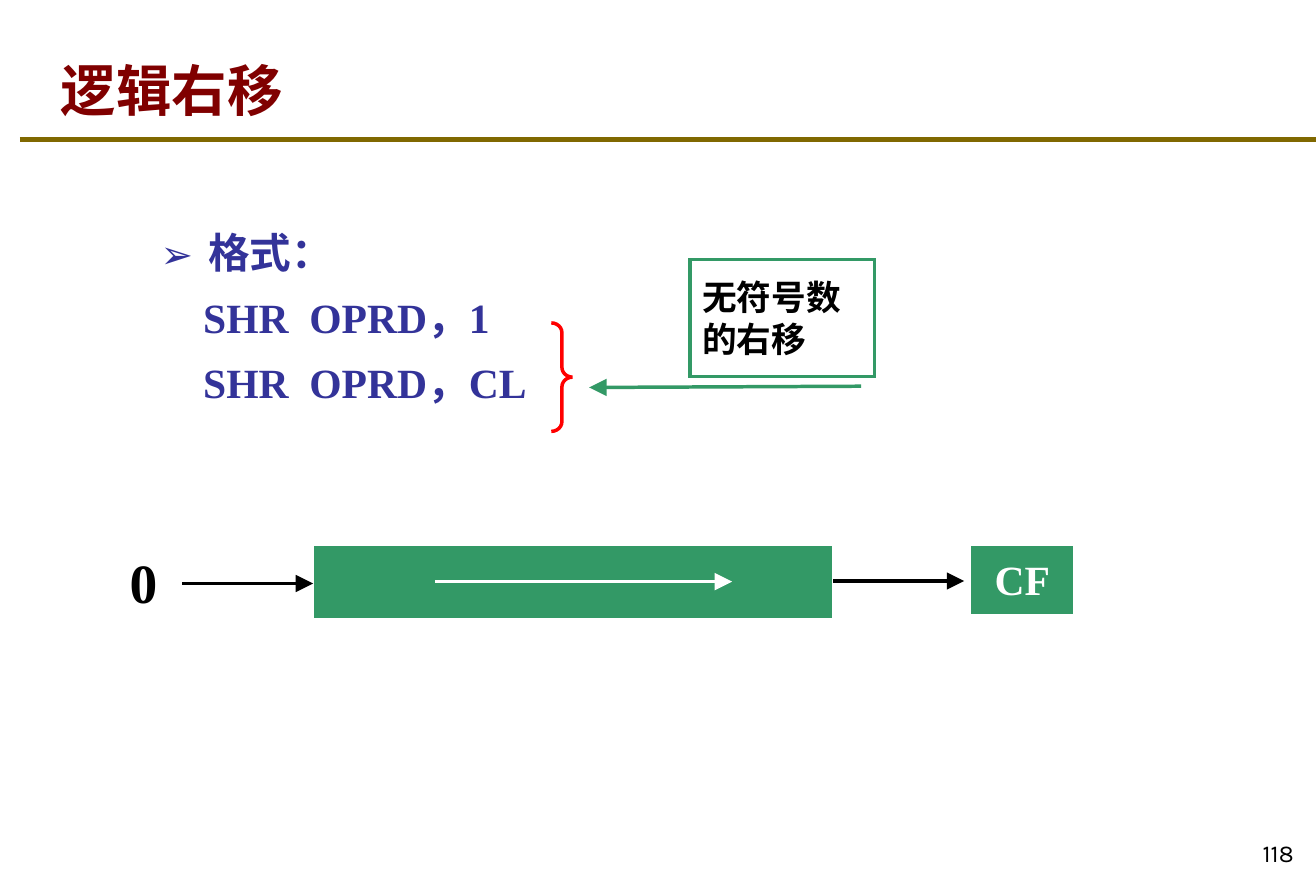
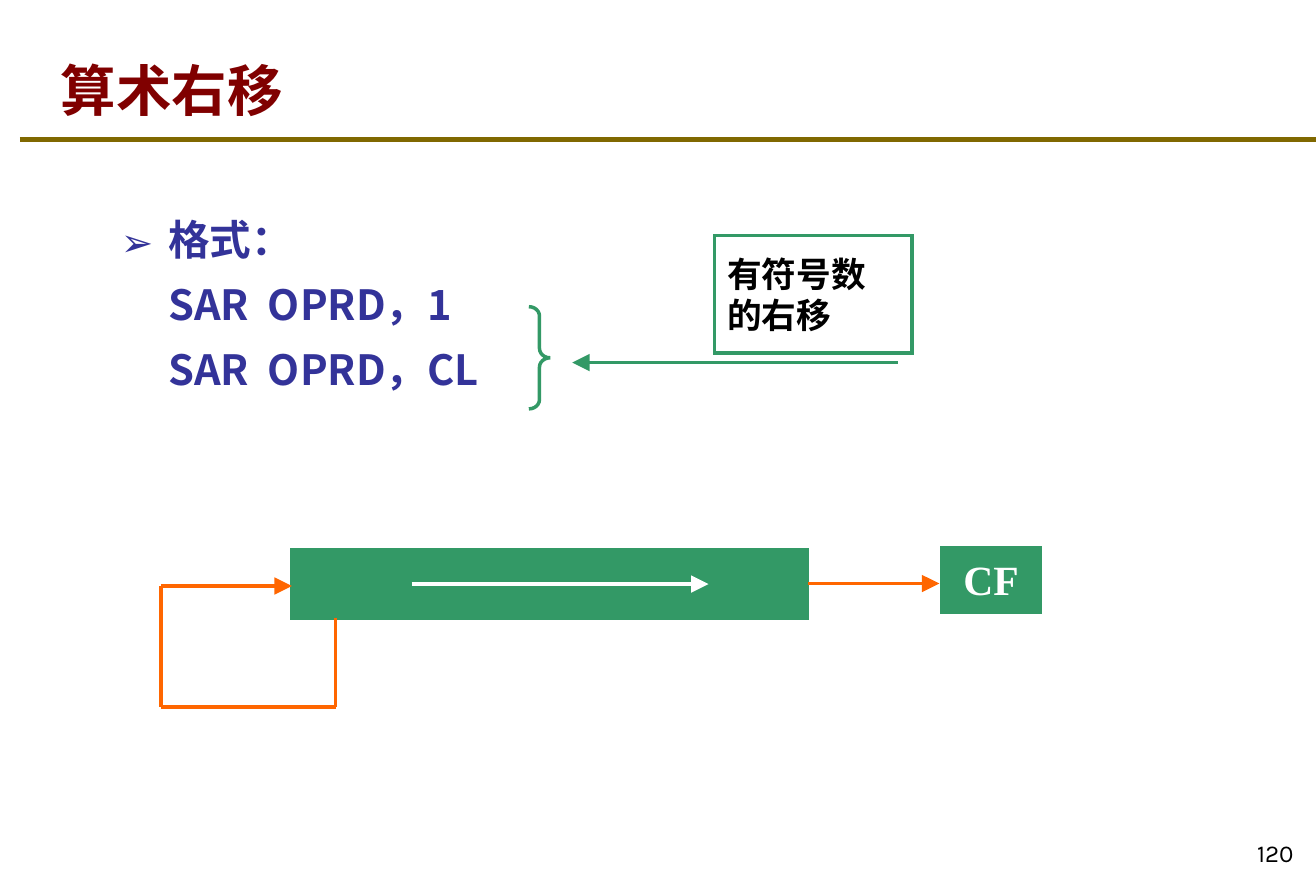
"""Two slides on the logical and arithmetic right shift instructions."""
import pptx
import pptx.dml.color
import pptx.enum.shapes
import pptx.enum.text
import pptx.oxml.ns
import pptx.util
from lxml import etree

WIDTH, HEIGHT = 10.55, 7.09
COLOURS = {"title": "800000", "rule": "806800", "body": "333399", "green": "339966",
           "red": "FF0000", "orange": "FF6600", "black": "000000", "white": "FFFFFF"}
CJK, SERIF, NUMERALS = "Noto Sans CJK SC", "Times New Roman", "Karla"
SHAPE = pptx.enum.shapes.MSO_SHAPE
ALIGN = pptx.enum.text.PP_ALIGN
ANCHOR = pptx.enum.text.MSO_ANCHOR
REGISTER_SIZE, FLAG_SIZE = (4.13, 0.55), (0.79, 0.52)
LINE_PITCH = pptx.util.Pt(28)

SLIDES = [
    {"title": "逻辑右移", "number": "118",
     "heading": "格式：", "code": ["SHR  OPRD，1", "SHR  OPRD，CL"],
     "code_font": SERIF, "code_indent": 0.34, "body": (1.19, 1.73, 4.08, 3.62),
     "brace": (4.42, 2.59, 0.17, 0.87), "brace_curve": 0.46, "brace_colour": "red",
     "note": "无符号数的右移", "note_box": (5.53, 2.08, 1.48, 0.94),
     "pointer": (1.083, 0.928, 1.094, -0.545),
     "register": (2.53, 4.39), "flag": (7.8, 4.39),
     "zero": (0.94, 4.35, 0.62, 0.64), "flow_colour": "black",
     "arrows": [((6.68, 4.66), (7.73, 4.66)), ((1.46, 4.68), (2.51, 4.68))],
     "loop": []},
    {"title": "算术右移", "number": "120",
     "heading": "格式：", "code": ["SAR  OPRD，1", "SAR  OPRD，CL"],
     "code_font": CJK, "code_indent": 0.38, "body": (0.87, 1.63, 3.86, 2.05),
     "brace": (4.24, 2.46, 0.17, 0.82), "brace_curve": 0.44, "brace_colour": "green",
     "note": "有符号数的右移", "note_box": (5.73, 1.89, 1.58, 0.94),
     "pointer": (1.083, 0.928, 1.083, -0.723),
     "register": (2.34, 4.41), "flag": (7.55, 4.39),
     "zero": None, "flow_colour": "orange",
     "arrows": [((6.48, 4.68), (7.53, 4.68)), ((1.29, 4.7), (2.34, 4.7))],
     "loop": [(1.29, 4.7), (1.29, 5.67), (2.69, 5.67), (2.69, 4.96)]},
]


def rgb(name):
    """Return a named colour."""
    return pptx.dml.color.RGBColor.from_string(COLOURS[name])


def inches(values):
    """Convert several lengths to slide units."""
    return [pptx.util.Inches(value) for value in values]


def add_child(parent, tag, **attributes):
    """Append a drawing element to its parent."""
    return etree.SubElement(parent, pptx.oxml.ns.qn(tag), attributes)


def style_line(line, colour, weight=2, arrow=False):
    """Set colour, weight, sharp corners and an optional arrowhead."""
    line.color.rgb = rgb(colour)
    line.width = pptx.util.Pt(weight)
    properties = line._get_or_add_ln()
    add_child(properties, "a:miter", lim="800000")
    if arrow:
        add_child(properties, "a:tailEnd", type="triangle", w="lg", len="lg")


def write(holder, text, size=24, font=CJK, colour="black", bold=True,
          align=ALIGN.LEFT, anchor=ANCHOR.TOP, top=0.05, new=False,
          before=0, after=0, spacing=None, indent=0, hang=0, bullet=None):
    """Write one paragraph of formatted text into a shape."""
    frame = holder.text_frame
    if not new:
        frame.word_wrap = True
        frame.vertical_anchor = anchor
        frame.margin_top = pptx.util.Inches(top)
    paragraph = frame.add_paragraph() if new else frame.paragraphs[0]
    properties = paragraph._p.get_or_add_pPr()
    properties.set("marL", str(pptx.util.Inches(indent)))
    properties.set("indent", str(pptx.util.Inches(hang)))
    paragraph.alignment = align
    paragraph.space_before = pptx.util.Pt(before)
    paragraph.space_after = pptx.util.Pt(after)
    if spacing:
        paragraph.line_spacing = spacing
    if bullet:
        add_child(properties, "a:buSzPct", val="93000")
        add_child(properties, "a:buFont", typeface=CJK)
        add_child(properties, "a:buChar", char=bullet)
    run = paragraph.add_run()
    run.text = text
    run.font.size = pptx.util.Pt(size)
    run.font.bold = bold
    run.font.name = font
    run.font.color.rgb = rgb(colour)
    add_child(run._r.get_or_add_rPr(), "a:ea", typeface=CJK)


def add_text(slide, box, text, **format):
    """Add a text box holding one paragraph."""
    holder = slide.shapes.add_textbox(*inches(box))
    write(holder, text, **format)
    return holder


def add_line(slide, start, end, colour, **format):
    """Add a straight line."""
    connector = slide.shapes.add_connector(
        pptx.enum.shapes.MSO_CONNECTOR.STRAIGHT, *inches(start + end))
    style_line(connector.line, colour, **format)
    add_child(connector._element.spPr, "a:effectLst")


def add_outline(slide, kind, box, colour, filled=False, adjustments=(), arrow=False):
    """Add a preset shape with a coloured outline."""
    shape = slide.shapes.add_shape(kind, *inches(box))
    shape.shadow.inherit = False
    style_line(shape.line, colour, arrow=arrow)
    if filled:
        shape.fill.solid()
        shape.fill.fore_color.rgb = rgb(colour)
    else:
        shape.fill.background()
    for index, value in enumerate(adjustments):
        shape.adjustments[index] = value
    return shape


def add_frame(slide, title, number):
    """Add the rule, title and page number that all slides share."""
    add_line(slide, (0.16, 1.12), (WIDTH, 1.12), "rule", weight=3)
    add_text(slide, (0.39, 0.24, 8.99, 0.79), title, size=32, colour="title",
             anchor=ANCHOR.BOTTOM)
    add_text(slide, (9.83, 6.54, 0.64, 0.47), number, size=14, font=NUMERALS,
             bold=False, align=ALIGN.RIGHT, anchor=ANCHOR.BOTTOM)


def add_syntax(slide, content):
    """Add the instruction formats, their brace and the note pointing at it."""
    body = add_text(slide, content["body"], content["heading"], colour="body", top=0.1,
                    after=5, spacing=LINE_PITCH, indent=0.38, hang=-0.38, bullet="➢")
    for instruction in content["code"]:
        write(body, instruction, font=content["code_font"], colour="body", new=True,
              before=4.5, after=5, spacing=LINE_PITCH, indent=content["code_indent"])
    add_outline(slide, SHAPE.RIGHT_BRACE, content["brace"], content["brace_colour"],
                adjustments=(content["brace_curve"], 0.5))
    note = add_outline(slide, SHAPE.LINE_CALLOUT_1, content["note_box"], "green",
                       adjustments=content["pointer"], arrow=True)
    write(note, content["note"], size=20, anchor=ANCHOR.MIDDLE)


def add_shift(slide, content):
    """Add the register, the carry flag and the flow of bits between them."""
    left, top = content["register"]
    middle = top + REGISTER_SIZE[1] / 2
    add_outline(slide, SHAPE.RECTANGLE, content["register"] + REGISTER_SIZE,
                "green", filled=True)
    add_line(slide, (left + 0.96, middle), (left + 3.34, middle), "white", arrow=True)
    flag = add_outline(slide, SHAPE.RECTANGLE, content["flag"] + FLAG_SIZE,
                       "green", filled=True)
    write(flag, "CF", font=SERIF, colour="white", align=ALIGN.CENTER)
    for start, end in content["arrows"]:
        add_line(slide, start, end, content["flow_colour"], arrow=True)
    for start, end in zip(content["loop"], content["loop"][1:]):
        add_line(slide, start, end, content["flow_colour"])
    if content["zero"]:
        add_text(slide, content["zero"], "0", size=32, font=SERIF)


def main():
    """Build and save the presentation."""
    deck = pptx.Presentation()
    deck.slide_width, deck.slide_height = inches((WIDTH, HEIGHT))
    for content in SLIDES:
        slide = deck.slides.add_slide(deck.slide_layouts[6])
        add_frame(slide, content["title"], content["number"])
        add_syntax(slide, content)
        add_shift(slide, content)
    deck.save("out.pptx")


if __name__ == "__main__":
    main()
